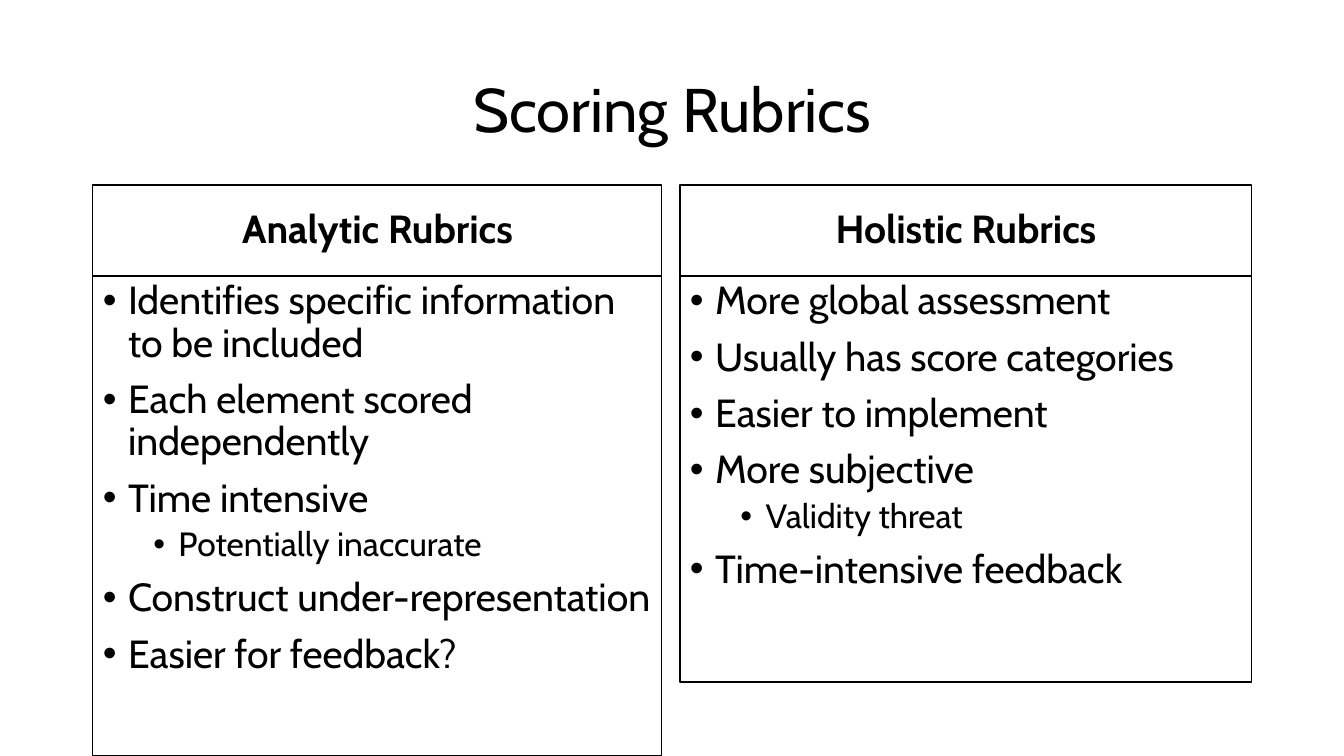
"""Builds a slide comparing analytic and holistic scoring rubrics."""
from lxml import etree
from pptx import Presentation
from pptx.dml.color import RGBColor
from pptx.enum.text import MSO_ANCHOR, PP_ALIGN
from pptx.oxml.ns import qn
from pptx.util import Emu, Pt

MIDDLE, TOP = MSO_ANCHOR.MIDDLE, MSO_ANCHOR.TOP
CENTER, LEFT = PP_ALIGN.CENTER, PP_ALIGN.LEFT

TITLE = "Scoring Rubrics"
RUBRICS = [
    {"heading": "Analytic Rubrics", "left": 93, "width": 569, "points_height": 480,
     "points": [
         (0, "Identifies specific information to be included"),
         (0, "Each element scored independently"),
         (0, "Time intensive"),
         (1, "Potentially inaccurate"),
         (0, "Construct under-representation"),
         (0, "Easier for feedback?"),
     ]},
    {"heading": "Holistic Rubrics", "left": 680, "width": 572, "points_height": 406,
     "points": [
         (0, "More global assessment"),
         (0, "Usually has score categories"),
         (0, "Easier to implement"),
         (0, "More subjective"),
         (1, "Validity threat"),
         (0, "Time-intensive feedback"),
     ]},
]

FONT, INK = "Cabin", "000000"
SLIDE_WIDTH, SLIDE_HEIGHT = 1344, 756
TITLE_BOX = (93, 40, 1159, 146)
HEADING_TOP, HEADING_HEIGHT = 185, 91
POINT_SIZES, POINT_GAPS = (28, 24), (10, 5)
INDENT, LEVEL_STEP = Pt(18), Pt(36)


def px(length):
    return Emu(round(length * 914400 / 100.8))


def color(hex_string):
    return RGBColor.from_string(hex_string)


def add_box(slide, bounds, anchor, outlined=True):
    box = slide.shapes.add_textbox(*(px(length) for length in bounds))
    if outlined:
        box.line.color.rgb = color(INK)
        box.line.width = Pt(0.75)
    frame = box.text_frame
    frame.word_wrap = True
    frame.vertical_anchor = anchor
    return frame


def write(paragraph, text, size, align, bold=False):
    paragraph.alignment = align
    paragraph.line_spacing = 0.9
    run = paragraph.add_run()
    run.text = text
    run.font.name = FONT
    run.font.size = Pt(size)
    run.font.bold = bold
    run.font.color.rgb = color(INK)


def add_bullet(paragraph, level):
    paragraph.level = level
    properties = paragraph._p.get_or_add_pPr()
    properties.set("marL", str(INDENT + level * LEVEL_STEP))
    properties.set("indent", str(-INDENT))
    etree.SubElement(properties, qn("a:buFont")).set("typeface", "Arial")
    etree.SubElement(properties, qn("a:buChar")).set("char", "•")


def add_rubric(slide, rubric):
    left, width = rubric["left"], rubric["width"]
    heading = add_box(slide, (left, HEADING_TOP, width, HEADING_HEIGHT), MIDDLE)
    write(heading.paragraphs[0], rubric["heading"], POINT_SIZES[0], CENTER, bold=True)

    points_top = HEADING_TOP + HEADING_HEIGHT
    points = add_box(slide, (left, points_top, width, rubric["points_height"]), TOP)
    for index, (level, text) in enumerate(rubric["points"]):
        paragraph = points.add_paragraph() if index else points.paragraphs[0]
        add_bullet(paragraph, level)
        if index:
            paragraph.space_before = Pt(POINT_GAPS[level])
        write(paragraph, text, POINT_SIZES[level], LEFT)


def main():
    presentation = Presentation()
    presentation.slide_width = px(SLIDE_WIDTH)
    presentation.slide_height = px(SLIDE_HEIGHT)
    slide = presentation.slides.add_slide(presentation.slide_layouts[6])
    title = add_box(slide, TITLE_BOX, MIDDLE, outlined=False)
    write(title.paragraphs[0], TITLE, 44, CENTER)
    for rubric in RUBRICS:
        add_rubric(slide, rubric)
    presentation.save("out.pptx")


if __name__ == "__main__":
    main()
